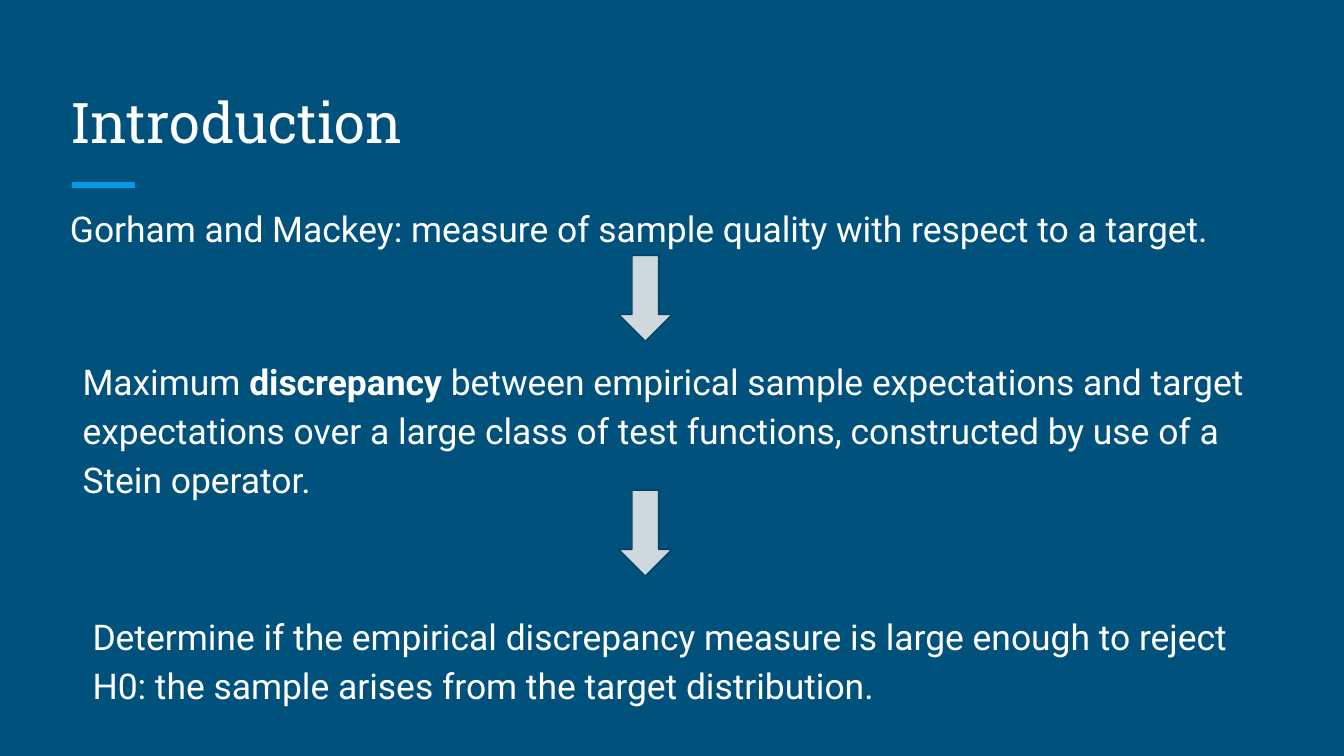
from dataclasses import dataclass

import pptx
import pptx.dml.color
import pptx.enum.shapes
import pptx.enum.text
import pptx.oxml.ns
import pptx.slide
import pptx.text.text
import pptx.util
from lxml import etree

Pt = pptx.util.Pt
RGB = pptx.dml.color.RGBColor


@dataclass(frozen=True)
class Theme:
    background: RGB = RGB.from_string("00517C")
    text: RGB = RGB.from_string("FFFFFF")
    accent: RGB = RGB.from_string("039BE5")
    arrow_fill: RGB = RGB.from_string("CFD8DC")
    arrow_line: RGB = RGB.from_string("004065")
    heading_font: str = "Roboto Slab"
    body_font: str = "Roboto"
    heading_size: float = 30
    body_size: float = 19
    line_spacing: float = 1.15
    inset: float = 7.2


@dataclass(frozen=True)
class Box:
    left: float
    top: float
    width: float
    height: float

    def emu(self) -> tuple:
        return Pt(self.left), Pt(self.top), Pt(self.width), Pt(self.height)


@dataclass(frozen=True)
class Phrase:
    text: str
    bold: bool = False


@dataclass(frozen=True)
class Statement:
    box: Box
    phrases: tuple[Phrase, ...]


THEME = Theme()
TITLE_BOX = Box(30.4, 36, 658.8, 54)
STATEMENTS = (
    Statement(
        Box(30.4, 100.2, 658.8, 278),
        (Phrase("Gorham and Mackey: measure of sample quality with respect to a target."),),
    ),
    Statement(
        Box(37.2, 182.2, 646.8, 87),
        (
            Phrase("Maximum "),
            Phrase("discrepancy ", bold=True),
            Phrase(
                "between empirical sample expectations and target expectations over a large "
                "class of test functions, constructed by use of a Stein operator."
            ),
        ),
    ),
    Statement(
        Box(42.5, 319, 641.5, 59),
        (
            Phrase(
                "Determine if the empirical discrepancy measure is large enough to reject "
                "H0: the sample arises from the target distribution."
            ),
        ),
    ),
)
ARROWS = tuple(Box(331.4, top, 28.6, 46) for top in (136.8, 262.6))


def format_frame(frame: pptx.text.text.TextFrame) -> None:
    frame.word_wrap = True
    frame.auto_size = pptx.enum.text.MSO_AUTO_SIZE.NONE
    frame.margin_left = frame.margin_right = Pt(THEME.inset)
    frame.margin_top = frame.margin_bottom = Pt(THEME.inset)


def format_font(font: pptx.text.text.Font, name: str, size: float) -> None:
    font.name = name
    font.size = Pt(size)
    font.color.rgb = THEME.text


def draw_title(slide: pptx.slide.Slide, text: str) -> None:
    title = slide.shapes.title
    title.left, title.top, title.width, title.height = TITLE_BOX.emu()
    frame = title.text_frame
    format_frame(frame)
    frame.vertical_anchor = pptx.enum.text.MSO_ANCHOR.BOTTOM
    frame.text = text
    heading = frame.paragraphs[0]
    heading.alignment = pptx.enum.text.PP_ALIGN.LEFT
    format_font(heading.font, THEME.heading_font, THEME.heading_size)


def draw_title_rule(slide: pptx.slide.Slide) -> None:
    rule = slide.shapes.add_connector(
        pptx.enum.shapes.MSO_CONNECTOR.STRAIGHT, Pt(38.6), Pt(99), Pt(72.3), Pt(99)
    )
    rule.line.color.rgb = THEME.accent
    rule.line.width = Pt(3)
    etree.SubElement(rule._element.spPr, pptx.oxml.ns.qn("a:effectLst"))


def draw_statement(slide: pptx.slide.Slide, statement: Statement) -> None:
    frame = slide.shapes.add_textbox(*statement.box.emu()).text_frame
    format_frame(frame)
    paragraph = frame.paragraphs[0]
    paragraph.line_spacing = THEME.line_spacing
    format_font(paragraph.font, THEME.body_font, THEME.body_size)
    for phrase in statement.phrases:
        run = paragraph.add_run()
        run.text = phrase.text
        if phrase.bold:
            run.font.bold = True


def draw_arrow(slide: pptx.slide.Slide, box: Box) -> None:
    arrow = slide.shapes.add_shape(pptx.enum.shapes.MSO_SHAPE.DOWN_ARROW, *box.emu())
    arrow.shadow.inherit = False
    arrow.fill.solid()
    arrow.fill.fore_color.rgb = THEME.arrow_fill
    arrow.line.color.rgb = THEME.arrow_line
    arrow.line.width = Pt(0.75)


def main() -> None:
    deck = pptx.Presentation()
    deck.slide_width, deck.slide_height = Pt(720), Pt(405)
    slide = deck.slides.add_slide(deck.slide_layouts.get_by_name("Title Only"))
    slide.background.fill.solid()
    slide.background.fill.fore_color.rgb = THEME.background
    draw_title_rule(slide)
    draw_title(slide, "Introduction")
    for statement in STATEMENTS:
        draw_statement(slide, statement)
    for arrow_box in ARROWS:
        draw_arrow(slide, arrow_box)
    deck.save("out.pptx")


if __name__ == "__main__":
    main()
